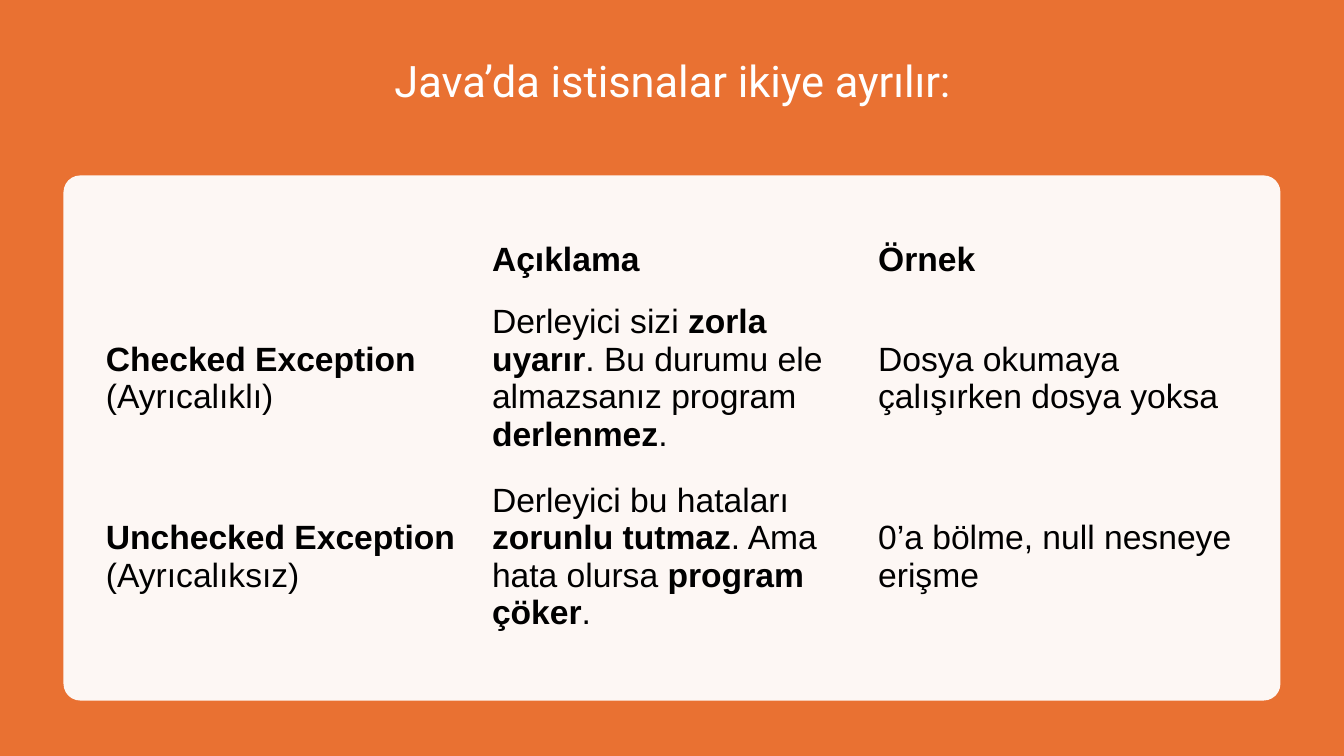
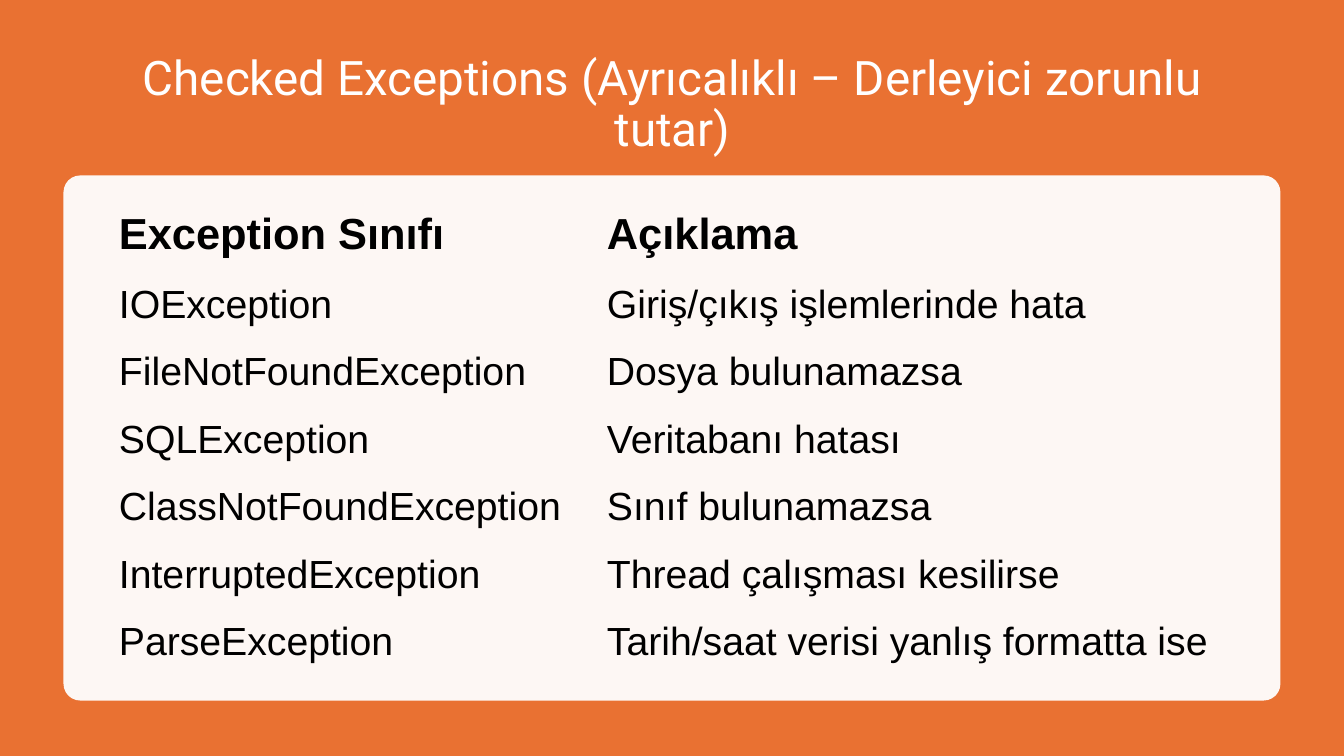
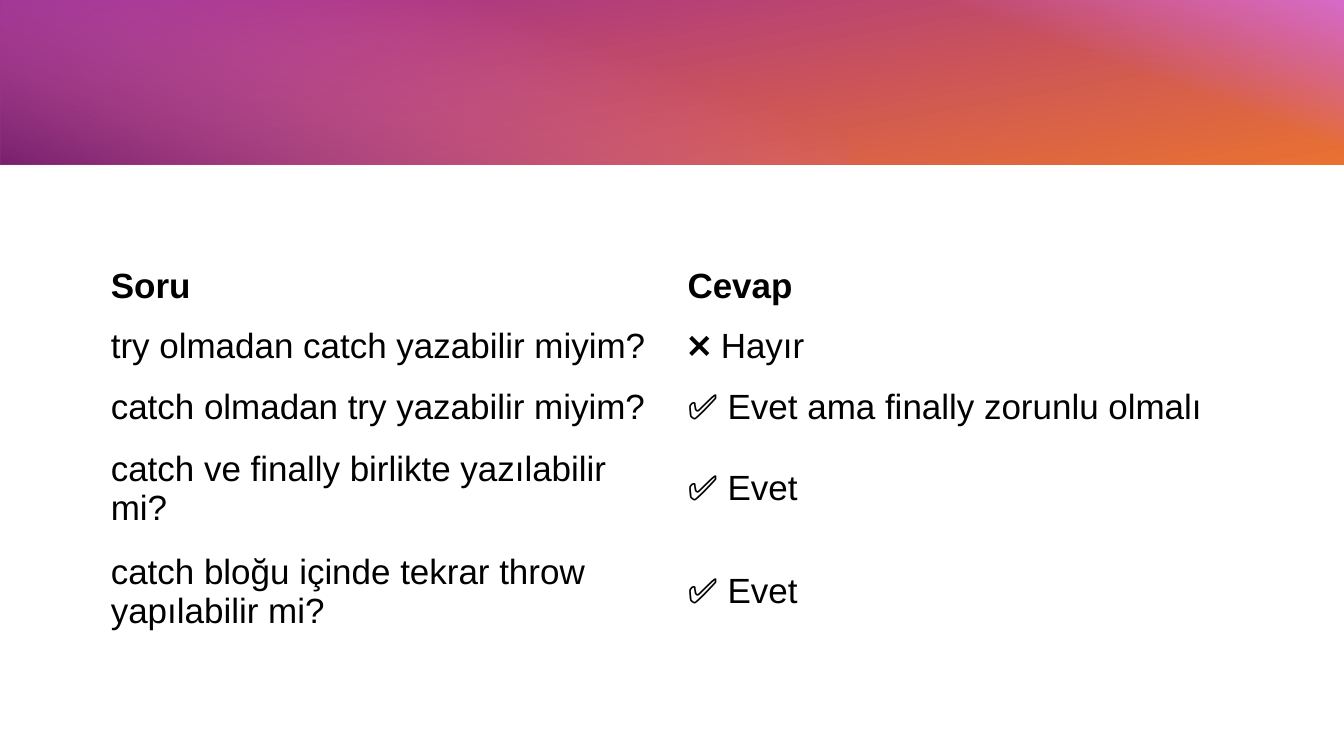
from lxml.etree import SubElement
from pptx import Presentation
from pptx.dml.color import RGBColor
from pptx.enum.shapes import MSO_SHAPE
from pptx.enum.text import MSO_ANCHOR, MSO_AUTO_SIZE, PP_ALIGN
from pptx.oxml.ns import qn
from pptx.util import Inches, Pt

WIDTH, HEIGHT = 13.33, 7.5
ORANGE, WHITE, BLACK = "E97132", "FFFFFF", "000000"
PURPLE, PINK, PLUM = "A02B93", "D86CCC", "78206E"
TITLE_FONT, BODY_FONT = "Roboto", "Arial"
PLAIN_TABLE_STYLE = "{2D5ABB26-0587-4C30-8999-92F81FD0307C}"
TITLE_ONLY, BLANK = 5, 6


def color(hex_value):
    return RGBColor.from_string(hex_value)


class Deck:
    def __init__(self):
        self.presentation = Presentation()
        self.presentation.slide_width = Inches(WIDTH)
        self.presentation.slide_height = Inches(HEIGHT)
        self.slide = None

    def new_slide(self, layout):
        layouts = self.presentation.slide_layouts
        self.slide = self.presentation.slides.add_slide(layouts[layout])

    def run(self, paragraph, text, font, size, text_color, bold=False):
        run = paragraph.add_run()
        run.text = text
        run.font.name = font
        run.font.size = Pt(size)
        run.font.bold = bold
        run.font.color.rgb = color(text_color)

    def box(self, kind, left, top, width, height, fill, parent=None):
        shapes = parent or self.slide.shapes
        shape = shapes.add_shape(kind, Inches(left), Inches(top),
                                 Inches(width), Inches(height))
        shape.shadow.inherit = False
        shape.line.fill.background()
        shape.fill.solid()
        shape.fill.fore_color.rgb = color(fill)
        return shape

    def title(self, text, size, space_below):
        shape = self.slide.shapes.title
        shape.left, shape.top = Inches(0.92), Inches(0.5)
        shape.width, shape.height = Inches(11.5), Inches(1.1)
        frame = shape.text_frame
        frame.word_wrap = True
        frame.auto_size = MSO_AUTO_SIZE.NONE
        frame.vertical_anchor = MSO_ANCHOR.MIDDLE
        frame.margin_left = frame.margin_right = Inches(0.1)
        frame.margin_top = Inches(0.05)
        frame.margin_bottom = Inches(space_below)
        paragraph = frame.paragraphs[0]
        paragraph.alignment = PP_ALIGN.CENTER
        paragraph.line_spacing = 0.9
        self.run(paragraph, text, TITLE_FONT, size, WHITE)

    def card_slide(self, title, size, space_below=0.05):
        """Orange slide with a centred title and a pale rounded card."""
        self.new_slide(TITLE_ONLY)
        backdrop = self.box(MSO_SHAPE.RECTANGLE, 0, 0, WIDTH, HEIGHT, ORANGE)
        self.slide.shapes.element.insert(2, backdrop.element)
        self.title(title, size, space_below)
        card = self.box(MSO_SHAPE.ROUNDED_RECTANGLE, 0.63, 1.74, 12.07, 5.21, WHITE)
        card.adjustments[0] = 0.032
        solid = card.element.spPr.find(qn("a:solidFill"))
        SubElement(solid[0], qn("a:alpha"), val="95000")

    def gradient_band(self, group, left, width, rotation, angle, stops):
        """Strip along the top edge, drawn upright and then turned."""
        height = 1.66
        middle_x, middle_y = left + width / 2, 0.8
        shape = self.box(MSO_SHAPE.RECTANGLE, middle_x - height / 2,
                         middle_y - width / 2, height, width, WHITE, group.shapes)
        shape.rotation = rotation
        fill = shape.element.spPr.find(qn("a:solidFill"))
        fill.clear()
        fill.tag = qn("a:gradFill")
        fill.set("rotWithShape", "1")
        stop_list = SubElement(fill, qn("a:gsLst"))
        for position, hex_value, opacity in stops:
            stop = SubElement(stop_list, qn("a:gs"), pos=str(position * 1000))
            stop_color = SubElement(stop, qn("a:srgbClr"), val=hex_value)
            if opacity < 100:
                SubElement(stop_color, qn("a:alpha"), val=str(opacity * 1000))
        SubElement(fill, qn("a:lin"), ang=str(angle * 60000), scaled="0")

    def table(self, left, top, columns, heights, rows, size, inset, header_size=None):
        """Cell text switches between regular and bold at each asterisk."""
        table = self.slide.shapes.add_table(
            len(rows), len(columns), Inches(left), Inches(top),
            Inches(sum(columns)), Inches(sum(heights))).table
        table.first_row = table.horz_banding = False
        style = table._tbl.tblPr.find(qn("a:tableStyleId"))
        style.text = PLAIN_TABLE_STYLE
        for column, width in zip(table.columns, columns):
            column.width = Inches(width)
        for row_index, texts in enumerate(rows):
            table.rows[row_index].height = Inches(heights[row_index])
            text_size = header_size if header_size and row_index == 0 else size
            for column_index, text in enumerate(texts):
                cell = table.cell(row_index, column_index)
                cell.fill.background()
                cell.vertical_anchor = MSO_ANCHOR.MIDDLE
                cell.margin_left = cell.margin_right = Inches(inset)
                cell.margin_top = cell.margin_bottom = Inches(inset / 2)
                paragraph = cell.text_frame.paragraphs[0]
                for part_index, part in enumerate(text.split("*")):
                    if part:
                        self.run(paragraph, part, BODY_FONT, text_size, BLACK,
                                 bold=part_index % 2 == 1)


def main():
    deck = Deck()

    # Two kinds of exceptions
    deck.card_slide("Java’da istisnalar ikiye ayrılır:", 31, space_below=0.5)
    deck.table(0.92, 2.29, [3.83] * 3, [0.58, 1.77, 1.77], [
        ("", "*Açıklama*", "*Örnek*"),
        ("*Checked Exception* (Ayrıcalıklı)",
         "Derleyici sizi *zorla uyarır*. Bu durumu ele almazsanız program *derlenmez*.",
         "Dosya okumaya çalışırken dosya yoksa"),
        ("*Unchecked Exception* (Ayrıcalıksız)",
         "Derleyici bu hataları *zorunlu tutmaz*. Ama hata olursa *program çöker*.",
         "0’a bölme, null nesneye erişme"),
    ], size=24, inset=0.13)

    # Checked exceptions
    deck.card_slide("Checked Exceptions (Ayrıcalıklı – Derleyici zorunlu tutar)", 34)
    deck.table(1.03, 1.97, [4.84, 6.43], [0.72] + [0.67] * 6, [
        ("*Exception Sınıfı*", "*Açıklama*"),
        ("IOException", "Giriş/çıkış işlemlerinde hata"),
        ("FileNotFoundException", "Dosya bulunamazsa"),
        ("SQLException", "Veritabanı hatası"),
        ("ClassNotFoundException", "Sınıf bulunamazsa"),
        ("InterruptedException", "Thread çalışması kesilirse"),
        ("ParseException", "Tarih/saat verisi yanlış formatta ise"),
    ], size=28, inset=0.15, header_size=31)

    # Questions and answers under a layered gradient band
    deck.new_slide(BLANK)
    band = deck.slide.shapes.add_group_shape()
    deck.gradient_band(band, 0, 13.34, 270, 170, [(0, PURPLE, 100), (100, ORANGE, 100)])
    deck.gradient_band(band, 7.8, 5.54, 270, 20,
                       [(0, PINK, 0), (59, PINK, 0), (100, PINK, 100)])
    deck.gradient_band(band, 0, 8.44, 90, 20,
                       [(0, PINK, 0), (29, PINK, 0), (100, PLUM, 100)])
    deck.table(0.96, 2.54, [5.72, 5.7], [0.6] * 3 + [1.02] * 2, [
        ("*Soru*", "*Cevap*"),
        ("try olmadan catch yazabilir miyim?", "❌ Hayır"),
        ("catch olmadan try yazabilir miyim?", "✅ Evet ama finally zorunlu olmalı"),
        ("catch ve finally birlikte yazılabilir mi?", "✅ Evet"),
        ("catch bloğu içinde tekrar throw yapılabilir mi?", "✅ Evet"),
    ], size=25, inset=0.14)

    deck.presentation.save("out.pptx")


if __name__ == "__main__":
    main()
